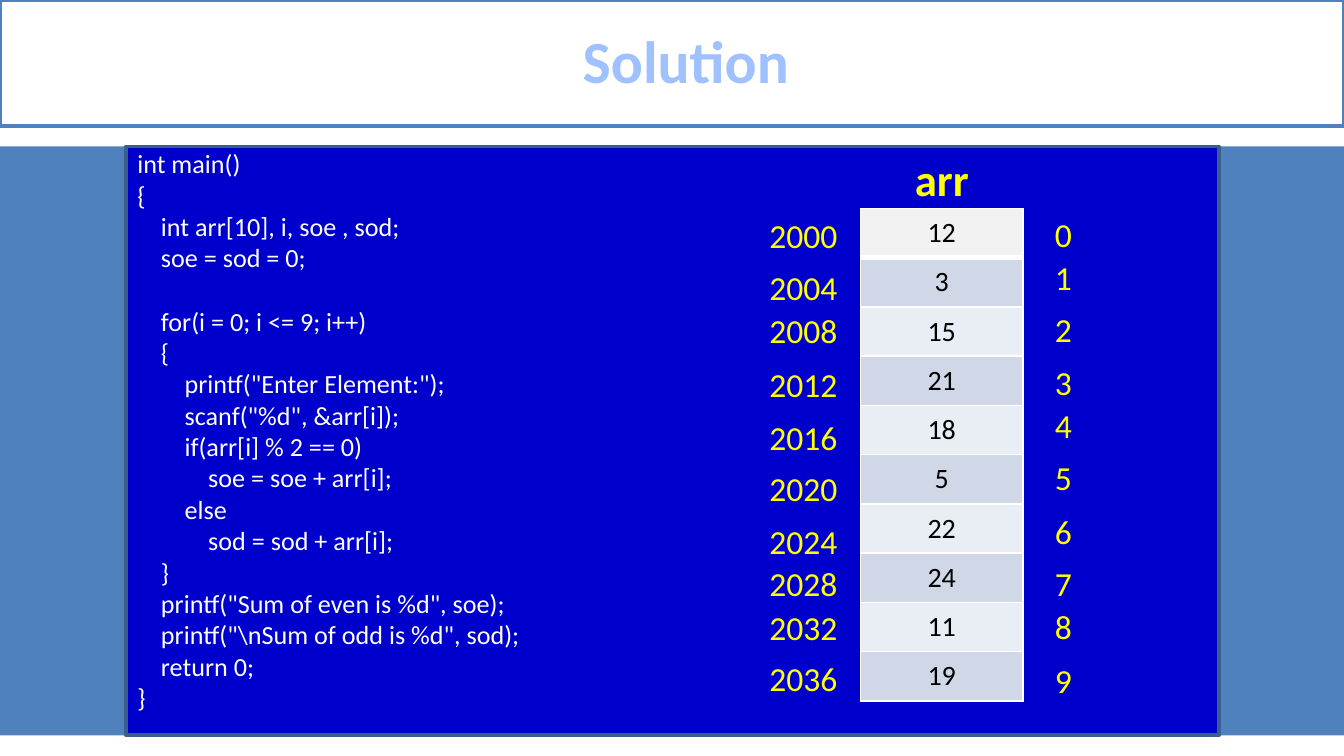
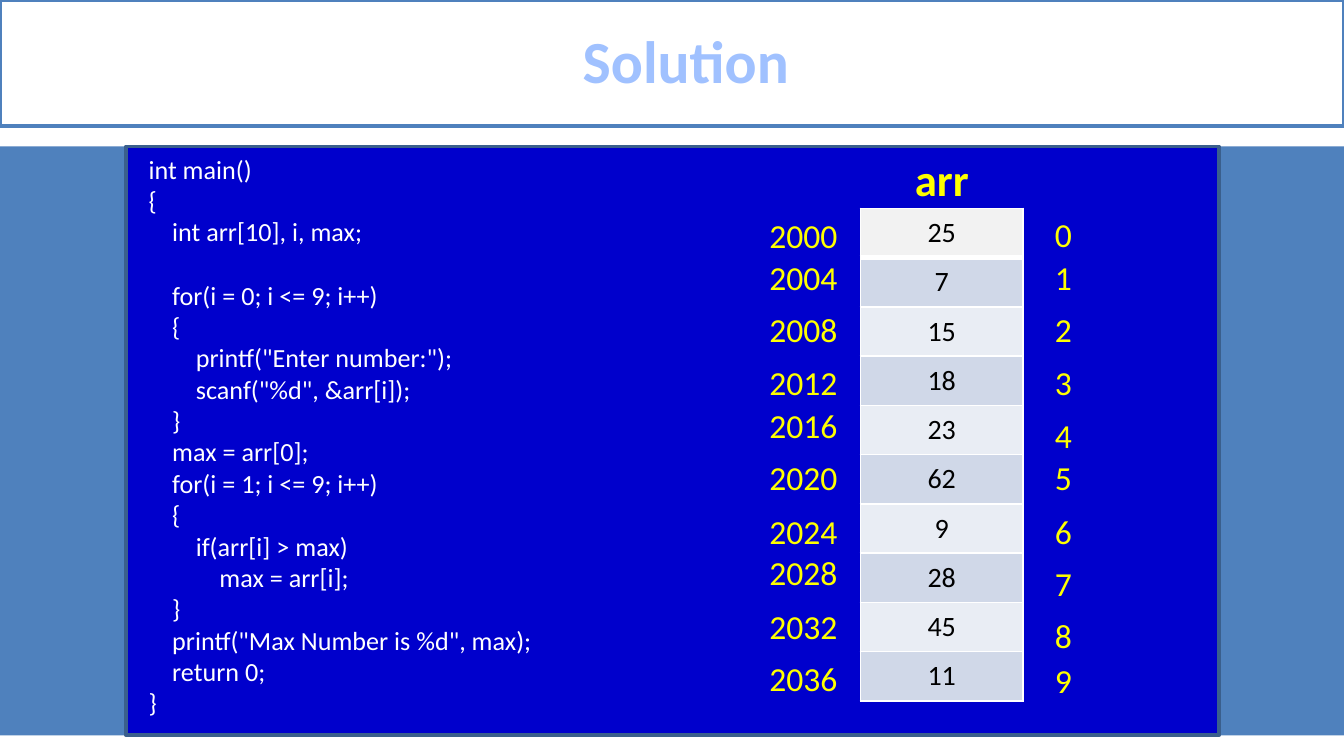
from lxml import etree
from pptx import Presentation
from pptx.dml.color import RGBColor
from pptx.enum.shapes import MSO_SHAPE
from pptx.enum.text import MSO_ANCHOR, MSO_AUTO_SIZE, PP_ALIGN
from pptx.oxml.ns import qn
from pptx.util import Pt

RECT = MSO_SHAPE.RECTANGLE
MIDDLE = MSO_ANCHOR.MIDDLE
CENTER, LEFT = PP_ALIGN.CENTER, PP_ALIGN.LEFT
GROW, FIXED = MSO_AUTO_SIZE.SHAPE_TO_FIT_TEXT, MSO_AUTO_SIZE.NONE

FONT = "Calibri"
WHITE, BLACK, YELLOW = "FFFFFF", "000000", "FFFF00"
BLUE, NAVY, EDGE, PALE = "4F81BD", "0000CC", "3A5F8C", "A0C1FF"
HEAD, ODD, EVEN = "F2F2F2", "D0D8E8", "E9EDF4"

WIDTH, HEIGHT = 720, 405
TITLE = (0, 0, WIDTH, 67.5)
BAND = (0, 78.5, WIDTH, 315.5)
PANEL = (67.5, 78.5, 585.5, 315.5)
ARRAY = (461, 111.6, 87, 264)
LINE = 17  # height of one line of code

SUMS = r'''int main()
{
    int arr[10], i, soe , sod;
    soe = sod = 0;

    for(i = 0; i <= 9; i++)
    {
        printf("Enter Element:");
        scanf("%d", &arr[i]);
        if(arr[i] % 2 == 0)
            soe = soe + arr[i];
        else
            sod = sod + arr[i];
    }
    printf("Sum of even is %d", soe);
    printf("\nSum of odd is %d", sod);
    return 0;
}'''

LARGEST = r'''int main()
{
    int arr[10], i, max;

    for(i = 0; i <= 9; i++)
    {
        printf("Enter number:");
        scanf("%d", &arr[i]);
    }
    max = arr[0];
    for(i = 1; i <= 9; i++)
    {
        if(arr[i] > max)
            max = arr[i];
    }
    printf("Max Number is %d", max);
    return 0;
}'''

# Code box, its text level and indent; label tops count from the table top
SLIDES = [
    dict(code=SUMS, box=(-5.5, 75.6, 348.5, 312.5), level=2, indent=99,
         values=[12, 3, 15, 21, 18, 5, 22, 24, 11, 19],
         places=[0, 28, 51, 80, 108, 135.5, 164, 186.5, 210, 237.5],
         marks=[-0.7, 22.3, 50.5, 78.5, 101.5, 129.5, 158.5, 186.5,
                209.5, 238.3]),
    dict(code=LARGEST, box=(36.5, 78.5, 618, 312.5), level=1, indent=63,
         values=[25, 7, 15, 18, 23, 62, 9, 28, 45, 11],
         places=[0, 22.3, 50.5, 78.5, 101.5, 129.5, 158.5, 180.5,
                 209.5, 237.5],
         marks=[-0.7, 22.3, 50.5, 78.5, 107.3, 129.5, 158.5, 186.5,
                214.5, 238.3]),
]


def color(code):
    return RGBColor.from_string(code)


def points(box):
    return [Pt(n) for n in box]


def write(para, text, size=18, ink=YELLOW, bold=False, align=LEFT):
    run = para.add_run()
    run.text = text
    run.font.name, run.font.size, run.font.bold = FONT, Pt(size), bold
    run.font.color.rgb = color(ink)
    para.alignment = align


def indent(para, left, first):
    props = para._p.get_or_add_pPr()
    props.set("marL", str(Pt(left)))
    props.set("indent", str(Pt(first)))


def paint(shape, fill, line=None):
    shape.fill.solid()
    shape.fill.fore_color.rgb = color(fill)
    if line:
        shape.line.color.rgb = color(line)
        shape.line.width = Pt(2)
    else:
        shape.line.fill.background()


def block(slide, box, fill, line=None):
    shape = slide.shapes.add_shape(RECT, *points(box))
    shape.shadow.inherit = False
    paint(shape, fill, line)


def title(slide, box, text):
    shape = slide.shapes.title
    shape.left, shape.top, shape.width, shape.height = points(box)
    paint(shape, WHITE, BLUE)
    frame = shape.text_frame
    frame.auto_size, frame.vertical_anchor = FIXED, MIDDLE
    para = frame.paragraphs[0]
    write(para, text, size=32, ink=PALE, bold=True, align=CENTER)
    indent(para, 15, 0)
    para.line_spacing = 0.96


def listing(slide, box, code, level, left):
    """Write code with a hanging indent; an empty line becomes a gap."""
    frame = slide.shapes.add_textbox(*points(box)).text_frame
    frame.word_wrap, frame.auto_size = True, GROW
    para, gap = frame.paragraphs[0], 0
    for row, text in enumerate(code.split("\n")):
        if not text:
            gap += LINE
            continue
        if row:
            para = frame.add_paragraph()
        para.level = level
        indent(para, left, -27)
        if gap:
            para.space_before = Pt(gap)
            gap = 0
        write(para, text, size=14, ink=WHITE)


def label(slide, box, text, **style):
    frame = slide.shapes.add_textbox(*points(box)).text_frame
    frame.word_wrap, frame.auto_size = False, GROW
    write(frame.paragraphs[0], text, **style)


def border(cell, **widths):
    props = cell._tc.get_or_add_tcPr()
    for side in "LRTB":
        line = etree.SubElement(props, qn(f"a:ln{side}"),
                                w=str(Pt(widths.get(side, 1))))
        fill = etree.SubElement(line, qn("a:solidFill"))
        etree.SubElement(fill, qn("a:srgbClr"), val=WHITE)


def grid(slide, box, values):
    table = slide.shapes.add_table(len(values), 1, *points(box)).table
    table.first_row = table.horz_banding = False
    for row, value in enumerate(values):
        table.rows[row].height = Pt(box[3] / len(values))
        cell = table.cell(row, 0)
        cell.vertical_anchor = MIDDLE
        cell.margin_top = cell.margin_bottom = Pt(3)
        border(cell, T=3 if row == 1 else 1, B=1 if row else 3)
        cell.fill.solid()
        shade = ODD if row % 2 else EVEN
        cell.fill.fore_color.rgb = color(shade if row else HEAD)
        write(cell.text_frame.paragraphs[0], str(value),
              size=15, ink=BLACK, align=CENTER)


def array(slide, box, values, places, marks):
    """Draw the array with addresses on its left and indexes on its right."""
    left, top = box[:2]
    grid(slide, box, values)
    label(slide, (left + 22, top - 34, 44, 36), "arr", size=24, bold=True)
    for i, (place, mark) in enumerate(zip(places, marks)):
        label(slide, (left - 56, top + place, 51, 29), str(2000 + 4 * i))
        label(slide, (left + 97, top + mark, 24, 29), str(i))


def solution(deck, code, box, level, indent, values, places, marks):
    slide = deck.slides.add_slide(deck.slide_layouts[5])
    block(slide, BAND, BLUE)
    title(slide, TITLE, "Solution")
    block(slide, PANEL, NAVY, EDGE)
    listing(slide, box, code, level, indent)
    array(slide, ARRAY, values, places, marks)


def main():
    deck = Presentation()
    deck.slide_width, deck.slide_height = Pt(WIDTH), Pt(HEIGHT)
    for parts in SLIDES:
        solution(deck, **parts)
    deck.save("out.pptx")


if __name__ == "__main__":
    main()
